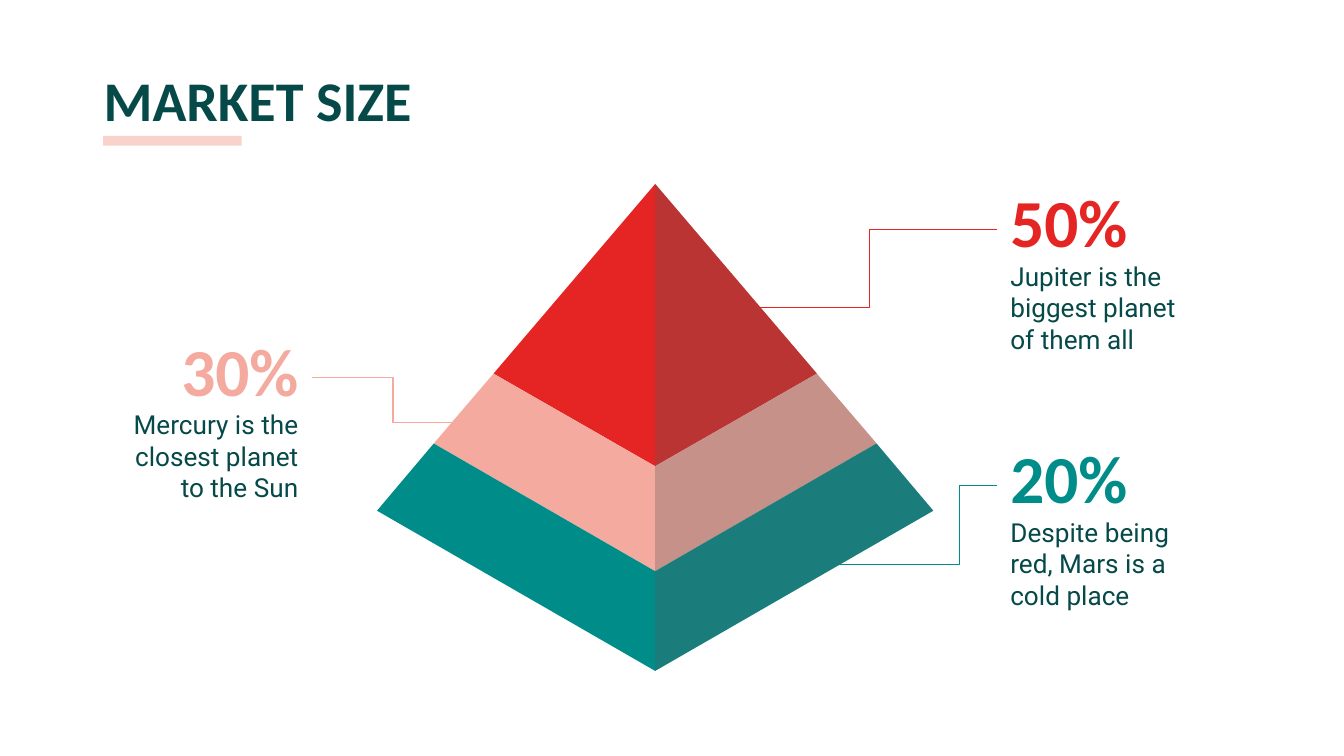
from lxml import etree
from pptx import Presentation
from pptx.dml.color import RGBColor
from pptx.enum.shapes import MSO_CONNECTOR, MSO_SHAPE
from pptx.enum.text import MSO_ANCHOR, MSO_AUTO_SIZE, PP_ALIGN
from pptx.oxml.ns import qn
from pptx.util import Pt

LEFT, RIGHT = PP_ALIGN.LEFT, PP_ALIGN.RIGHT
TOP, NO_FIT = MSO_ANCHOR.TOP, MSO_AUTO_SIZE.NONE
ELBOW, RECT = MSO_CONNECTOR.ELBOW, MSO_SHAPE.RECTANGLE

RED, PINK, TEAL = "E42524", "F4AA9E", "008D8A"
DARK, SHADE = "064949", "595959"


def paint(sp, color, opacity=100):
    sp.shadow.inherit = False
    sp.line.fill.background()
    sp.fill.solid()
    sp.fill.fore_color.rgb = RGBColor.from_string(color)
    if opacity < 100:
        clr = sp.fill._xPr.find(qn("a:solidFill"))[0]
        etree.SubElement(clr, qn("a:alpha")).set("val", str(opacity * 1000))


def write(sp, box, text, font, size, color, bold=False, align=LEFT):
    sp.left, sp.top, sp.width, sp.height = [Pt(v) for v in box]
    tf = sp.text_frame
    tf.word_wrap = True
    tf.auto_size = NO_FIT
    tf.vertical_anchor = TOP
    tf.margin_left = tf.margin_right = tf.margin_top = tf.margin_bottom = Pt(7.2)
    p = tf.paragraphs[0]
    p.alignment = align
    r = p.add_run()
    r.text = text
    r.font.name = font
    r.font.size = Pt(size)
    r.font.bold = bold
    r.font.color.rgb = RGBColor.from_string(color)


prs = Presentation()
prs.slide_width, prs.slide_height = Pt(720), Pt(405)
s = prs.slides.add_slide(prs.slide_layouts[5])

# Title with accent bar
write(s.shapes.title, (48.3, 28, 671, 45.4), "MARKET SIZE", "Calibri", 30, DARK, True)
bar = s.shapes.add_shape(RECT, Pt(55.3), Pt(72.8), Pt(74.2), Pt(5.2))
paint(bar, PINK, 52)

# Leader lines: start at the label, end at the pyramid, bend position in percent
leaders = [
    (RED, (534.2, 123), (397.6, 164.9), 50),
    (PINK, (167, 202.3), (254.2, 226.3), 50),
    (TEAL, (534.2, 260.2), (447.4, 302.4), 23.3),
]
for color, start, end, bend in leaders:
    line = s.shapes.add_connector(ELBOW, *[Pt(v) for v in start + end])
    line.line.color.rgb = RGBColor.from_string(color)
    line.line.width = Pt(0.75)
    sp_pr = line._element.spPr
    etree.SubElement(sp_pr, qn("a:effectLst"))
    guide = etree.SubElement(sp_pr.find(qn("a:prstGeom")).get_or_add_avLst(), qn("a:gd"))
    guide.set("name", "adj1")
    guide.set("fmla", f"val {round(bend * 1000)}")

# Labels: percentage above, description below, lined up at one edge
labels = [
    ("50%", "Jupiter is the biggest planet of them all", RED, LEFT, 89.4),
    ("30%", "Mercury is the closest planet to the Sun", PINK, RIGHT, 169),
    ("20%", "Despite being red, Mars is a cold place", TEAL, LEFT, 226.6),
]
for share, note, color, align, top in labels:
    for text, width, y, height, style in [
        (note, 110.9, top + 42.8, 64.1, ("Roboto", 14, DARK, False)),
        (share, 127.4, top, 67, ("Calibri", 36, color, True)),
    ]:
        x = 534.2 if align == LEFT else 167 - width
        write(s.shapes.add_textbox(0, 0, 0, 0), (x, y, width, height), text, *style, align)

# Pyramid: each level is (half width, side y, centre y); tiers lie between levels
AXIS = 351
levels = [(0, 98.6, 98.6), (86.6, 200.2, 249.8), (118.6, 237.6, 306), (149, 273.6, 359.4)]
for color, upper, lower in zip((RED, PINK, TEAL), levels, levels[1:]):
    for side in (-1, 1):
        points = [(AXIS, upper[2]), (AXIS + side * upper[0], upper[1]),
                  (AXIS + side * lower[0], lower[1]), (AXIS, lower[2])]
        fills = [(color, 100)] if side < 0 else [(color, 100), (SHADE, 30)]
        for fill, opacity in fills:
            outline = s.shapes.build_freeform(Pt(points[0][0]), Pt(points[0][1]))
            outline.add_line_segments([(Pt(x), Pt(y)) for x, y in points[1:]])
            paint(outline.convert_to_shape(), fill, opacity)

prs.save("out.pptx")
